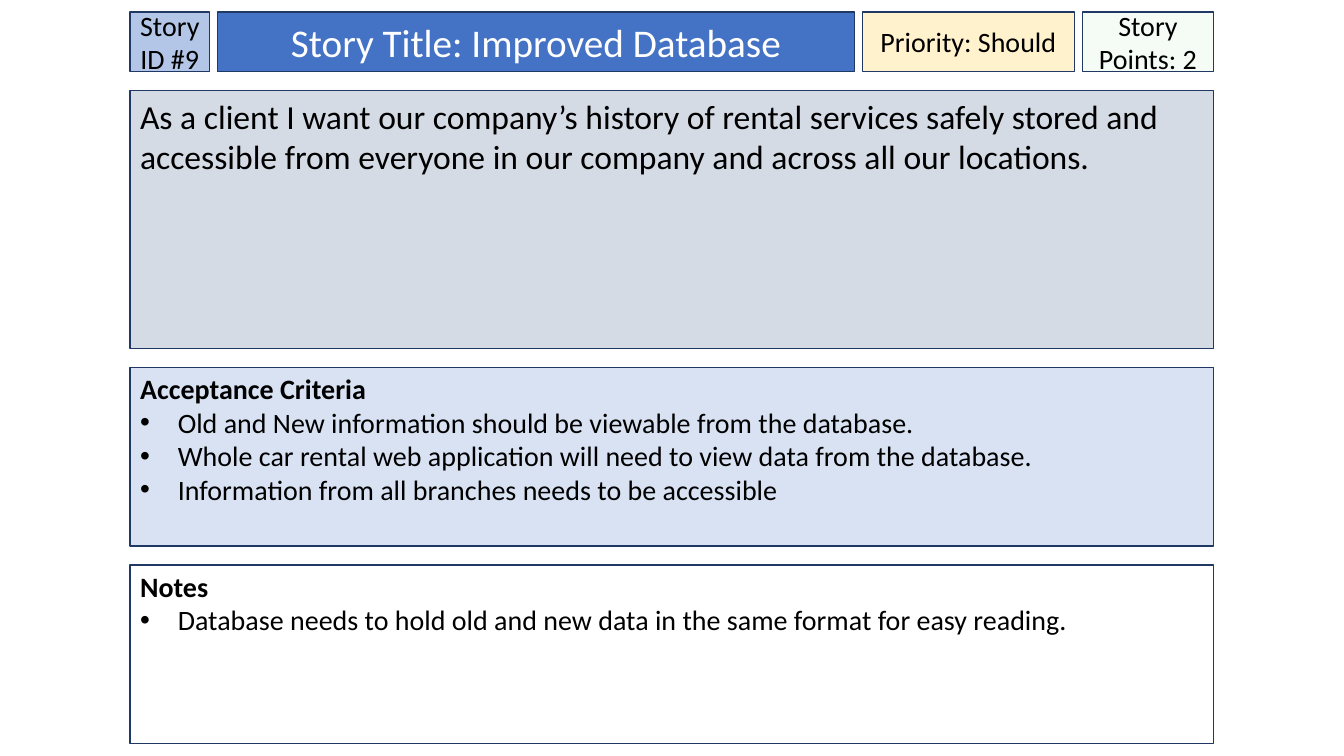
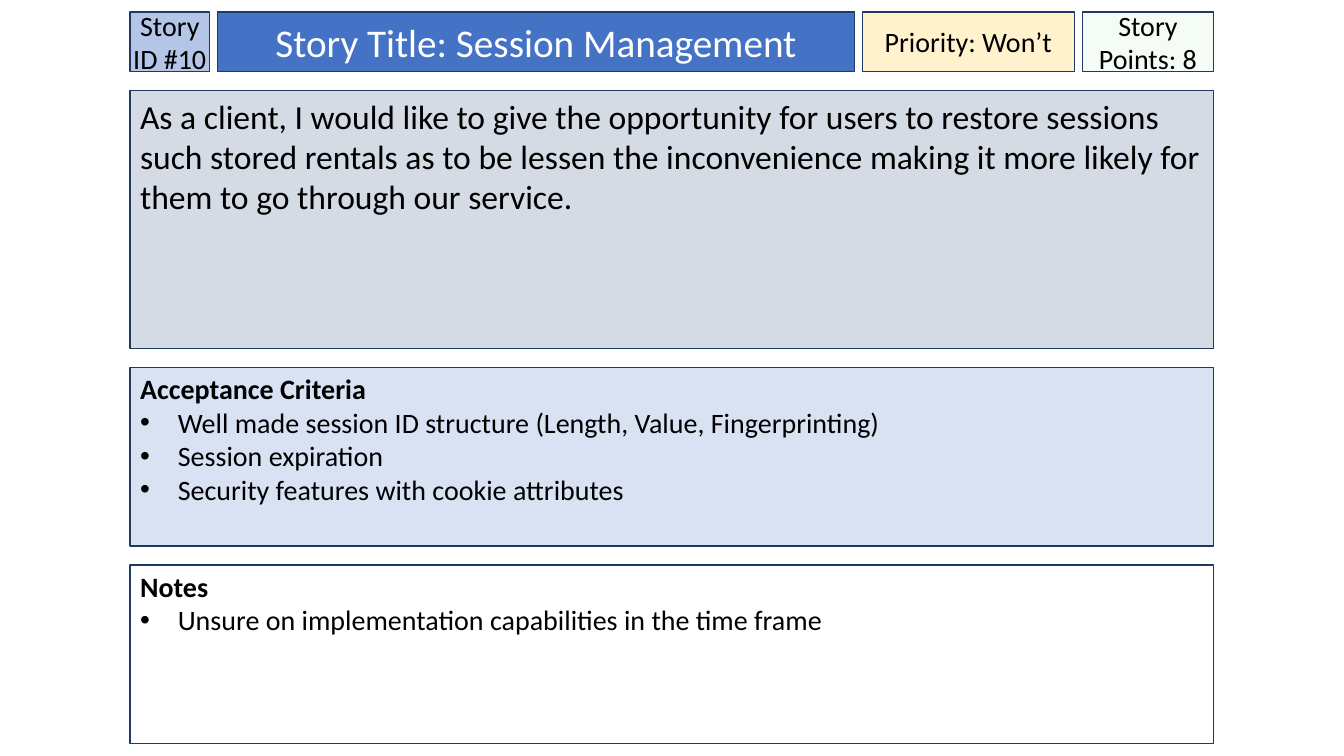
import pptx
import pptx.dml.color
import pptx.enum.shapes
import pptx.enum.text
import pptx.oxml
import pptx.oxml.ns
import pptx.util

Cm = pptx.util.Cm
Pt = pptx.util.Pt
ALIGN = pptx.enum.text.PP_ALIGN
ANCHOR = pptx.enum.text.MSO_ANCHOR

STORIES = [
    {
        "id": "Story ID #9",
        "title": "Story Title: Improved Database",
        "priority": "Priority: Should",
        "points": "Story Points: 2",
        "story": "As a client I want our company’s history of rental services safely stored "
                 "and accessible from everyone in our company and across all our locations.",
        "criteria": [
            "Old and New information should be viewable from the database.",
            "Whole car rental web application will need to view data from the database.",
            "Information from all branches needs to be accessible",
        ],
        "notes": ["Database needs to hold old and new data in the same format for easy reading."],
    },
    {
        "id": "Story ID #10",
        "title": "Story Title: Session Management",
        "priority": "Priority: Won’t",
        "points": "Story Points: 8",
        "story": "As a client, I would like to give the opportunity for users to restore sessions "
                 "such stored rentals as to be lessen the inconvenience making it more likely for "
                 "them to go through our service.",
        "criteria": [
            "Well made session ID structure (Length, Value, Fingerprinting)",
            "Session expiration",
            "Security features with cookie attributes",
        ],
        "notes": ["Unsure on implementation capabilities in the time frame"],
    },
]

FONT = "Calibri"
BLACK, WHITE, OUTLINE = "000000", "FFFFFF", "1F3864"
FILLS = {
    "id": "B3C6E7", "title": "4472C4", "priority": "FFF2CC", "points": "CCF0CD",
    "story": "D5DBE5", "criteria": "D8E2F3", "notes": WHITE,
}
POINTS_OPACITY = 20
HEADINGS = {"criteria": "Acceptance Criteria", "notes": "Notes"}
PLACEHOLDERS = {"title": 0, "criteria": 1, "notes": 2}

LEFT, TOP, WIDTH = 3.28, 0.3, 27.3
HEADER_HEIGHT, HEADER_GAP, PANEL_GAP = 1.5, 0.2, 0.48
HEADER_WIDTHS = {"id": 2, "title": 16.05, "priority": 5.35, "points": 3.3}
PANEL_HEIGHTS = {"story": 6.5, "criteria": 4.5, "notes": 4.5}
INDENT = Cm(0.95)


def color(value):
    return pptx.dml.color.RGBColor.from_string(value)


def layout_boxes():
    boxes = {}
    left = LEFT
    for name, width in HEADER_WIDTHS.items():
        boxes[name] = (left, TOP, width, HEADER_HEIGHT)
        left += width + HEADER_GAP
    top = TOP + HEADER_HEIGHT + PANEL_GAP
    for name, height in PANEL_HEIGHTS.items():
        boxes[name] = (LEFT, top, WIDTH, height)
        top += height + PANEL_GAP
    return boxes


def set_opacity(shape, percent):
    fill_color = shape.fill._xPr.find(".//" + pptx.oxml.ns.qn("a:srgbClr"))
    pptx.oxml.ns.qn("a:alpha")
    alpha = fill_color.makeelement(pptx.oxml.ns.qn("a:alpha"), {"val": str(percent * 1000)})
    fill_color.append(alpha)


def add_box(slide, name, box):
    left, top, width, height = (Cm(length) for length in box)
    if name in PLACEHOLDERS:
        shape = slide.placeholders[PLACEHOLDERS[name]]
        shape.left, shape.top, shape.width, shape.height = left, top, width, height
    else:
        rectangle = pptx.enum.shapes.MSO_SHAPE.RECTANGLE
        shape = slide.shapes.add_shape(rectangle, left, top, width, height)
    shape.shadow.inherit = False
    shape.fill.solid()
    shape.fill.fore_color.rgb = color(FILLS[name])
    shape.line.color.rgb = color(OUTLINE)
    shape.line.width = Pt(1)
    frame = shape.text_frame
    frame.word_wrap = True
    frame.auto_size = pptx.enum.text.MSO_AUTO_SIZE.NONE
    frame.vertical_anchor = ANCHOR.MIDDLE if name in HEADER_WIDTHS else ANCHOR.TOP
    narrow = name in ("id", "priority", "points")
    frame.margin_left = frame.margin_right = Cm(0 if narrow else 0.25)
    frame.margin_top = Cm(0.1 if name in HEADINGS else 0.13)
    frame.margin_bottom = Cm(0.13)
    return shape


def format_paragraph(paragraph, size, text_color=BLACK, bold=False, alignment=ALIGN.LEFT):
    paragraph.alignment = alignment
    paragraph.space_before = Pt(0)
    font = paragraph.font
    font.name, font.size, font.bold = FONT, Pt(size), bold
    font.color.rgb = color(text_color)


def write_text(shape, name, text):
    paragraph = shape.text_frame.paragraphs[0]
    paragraph.text = text
    size = {"title": 28, "story": 24}.get(name, 20)
    text_color = WHITE if name == "title" else BLACK
    alignment = ALIGN.CENTER if name in HEADER_WIDTHS else ALIGN.LEFT
    format_paragraph(paragraph, size, text_color, alignment=alignment)


def write_list(shape, heading, items):
    frame = shape.text_frame
    frame.text = "\n".join([heading, *items])
    for index, paragraph in enumerate(frame.paragraphs):
        is_heading = index == 0
        properties = paragraph._p.get_or_add_pPr()
        properties.set("marL", str(0 if is_heading else INDENT))
        properties.set("indent", str(0 if is_heading else -INDENT))
        if is_heading:
            properties.append(pptx.oxml.parse_xml(f"<a:buNone {pptx.oxml.ns.nsdecls('a')}/>"))
        format_paragraph(paragraph, 20, bold=is_heading)


def build_slide(presentation, story):
    slide = presentation.slides.add_slide(presentation.slide_layouts.get_by_name("Two Content"))
    for name, box in layout_boxes().items():
        shape = add_box(slide, name, box)
        if name in HEADINGS:
            write_list(shape, HEADINGS[name], story[name])
        else:
            write_text(shape, name, story[name])
        if name == "points":
            set_opacity(shape, POINTS_OPACITY)


def main():
    presentation = pptx.Presentation()
    presentation.slide_width, presentation.slide_height = Cm(33.87), Cm(19.05)
    for story in STORIES:
        build_slide(presentation, story)
    presentation.save("out.pptx")


if __name__ == "__main__":
    main()
